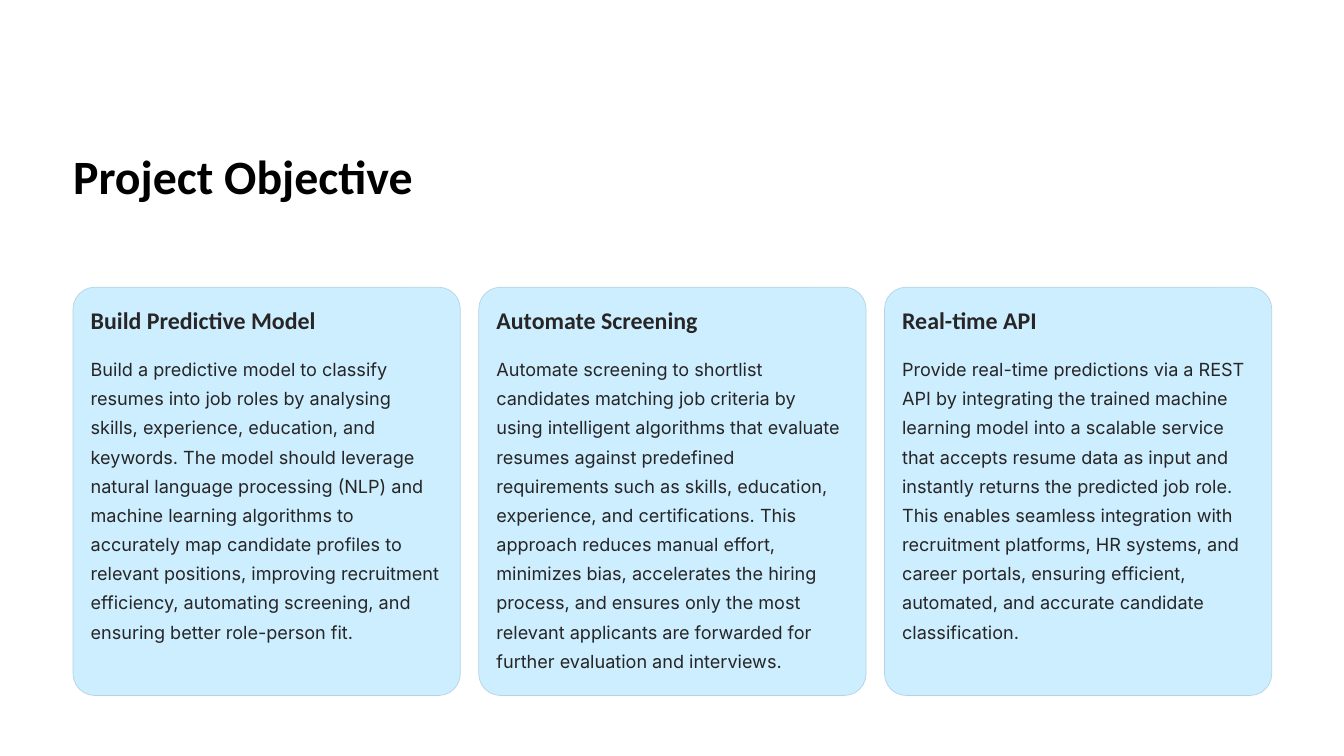
from dataclasses import dataclass

from pptx import Presentation
from pptx.dml.color import RGBColor
from pptx.enum.shapes import MSO_SHAPE
from pptx.enum.text import MSO_ANCHOR, MSO_AUTO_SIZE, PP_ALIGN
from pptx.util import Inches, Pt

ROUND = MSO_SHAPE.ROUNDED_RECTANGLE
TOP = MSO_ANCHOR.TOP
LEFT = PP_ALIGN.LEFT
FIXED = MSO_AUTO_SIZE.NONE


@dataclass(frozen=True)
class Theme:
    black: RGBColor = RGBColor.from_string("000000")
    ink: RGBColor = RGBColor.from_string("272525")
    fill: RGBColor = RGBColor.from_string("CCEEFF")
    edge: RGBColor = RGBColor.from_string("B2D4E5")
    head: str = "Calibri"
    body: str = "Inter"
    title_size: float = 41
    head_size: float = 20.5
    body_size: float = 15.5


theme = Theme()


def write(shape, text, font, size, color, lead, bold=False, wrap=False):
    frame = shape.text_frame
    frame.margin_left = frame.margin_right = 0
    frame.margin_top = frame.margin_bottom = 0
    frame.vertical_anchor = TOP
    frame.auto_size = FIXED
    frame.word_wrap = wrap
    frame.text = text
    para = frame.paragraphs[0]
    para.alignment = LEFT
    para.line_spacing = Pt(lead)
    para.space_before = Pt(0)
    para.font.name = font
    para.font.size = Pt(size)
    para.font.bold = bold
    para.font.color.rgb = color


deck = Presentation()
deck.slide_width, deck.slide_height = Inches(16), Inches(9)
slide = deck.slides.add_slide(deck.slide_layouts[5])
shapes = slide.shapes

# Title
title = shapes.title
title.left, title.top = Inches(0.87), Inches(1.72)
title.width, title.height = Inches(5.7), Inches(0.71)
write(title, "Project Objective", theme.head, theme.title_size,
      theme.black, 51, bold=True)

# Three objective cards
cards = [
    ("Build Predictive Model",
     "Build a predictive model to classify resumes into job roles by "
     "analysing skills, experience, education, and keywords. The model "
     "should leverage natural language processing (NLP) and machine "
     "learning algorithms to accurately map candidate profiles to relevant "
     "positions, improving recruitment efficiency, automating screening, "
     "and ensuring better role-person fit."),
    ("Automate Screening",
     "Automate screening to shortlist candidates matching job criteria by "
     "using intelligent algorithms that evaluate resumes against predefined "
     "requirements such as skills, education, experience, and "
     "certifications. This approach reduces manual effort, minimizes bias, "
     "accelerates the hiring process, and ensures only the most relevant "
     "applicants are forwarded for further evaluation and interviews."),
    ("Real-time API",
     "Provide real-time predictions via a REST API by integrating the "
     "trained machine learning model into a scalable service that accepts "
     "resume data as input and instantly returns the predicted job role. "
     "This enables seamless integration with recruitment platforms, HR "
     "systems, and career portals, ensuring efficient, automated, and "
     "accurate candidate classification."),
]
pitch = 4.83
for i, (name, text) in enumerate(cards):
    left = 0.87 + i * pitch
    inner = Inches(left + 0.21)

    card = shapes.add_shape(ROUND, Inches(left), Inches(3.42),
                            Inches(4.61), Inches(4.86))
    card.adjustments[0] = 0.056
    card.shadow.inherit = False
    card.fill.solid()
    card.fill.fore_color.rgb = theme.fill
    card.line.color.rgb = theme.edge
    card.line.width = Pt(0.6)

    head = shapes.add_textbox(inner, Inches(3.63), Inches(2.9), Inches(0.36))
    write(head, name, theme.head, theme.head_size, theme.ink, 25.5, bold=True)

    body = shapes.add_textbox(inner, Inches(4.18), Inches(4.16), Inches(3.9))
    write(body, text, theme.body, theme.body_size, theme.ink, 25, wrap=True)

deck.save("out.pptx")
